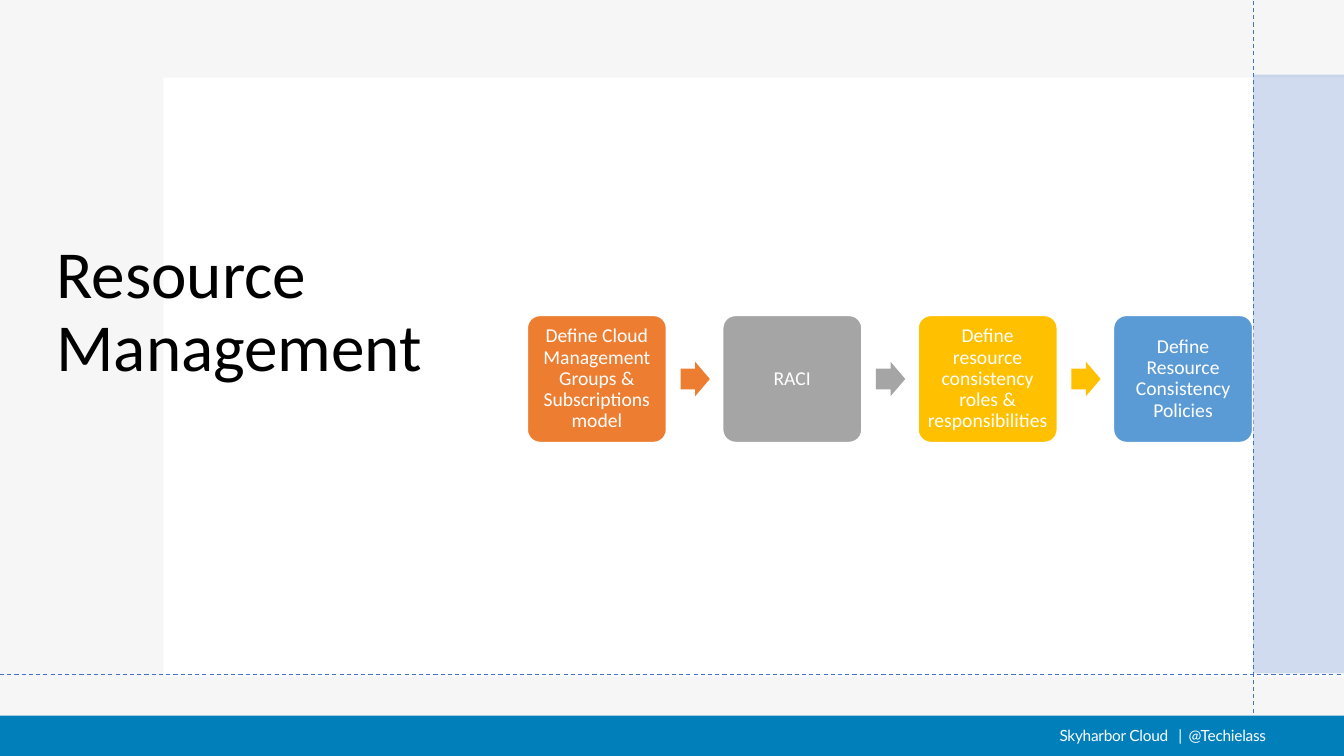
"""Build the Resource Management process slide."""
from lxml.etree import SubElement
from pptx import Presentation
from pptx.dml.color import RGBColor
from pptx.enum.dml import MSO_LINE
from pptx.enum.shapes import MSO_CONNECTOR, MSO_SHAPE as SHAPE
from pptx.enum.text import MSO_ANCHOR as ANCHOR, PP_ALIGN as ALIGN
from pptx.oxml.ns import qn
from pptx.util import Inches, Pt


def color(text):
    return RGBColor.from_string(text)


def add_block(page, kind, bounds, fill, opacity=100):
    block = page.shapes.add_shape(kind, *map(Inches, bounds))
    block.shadow.inherit = False
    block.line.fill.background()
    block.fill.solid()
    block.fill.fore_color.rgb = color(fill)
    if opacity < 100:
        tint = block.fill._xPr.find(".//" + qn("a:srgbClr"))
        SubElement(tint, qn("a:alpha"), val=str(opacity * 1000))
    return block


deck = Presentation()
deck.slide_width, deck.slide_height = Inches(13.33), Inches(7.5)
page = deck.slides.add_slide(deck.slide_layouts[5])

add_block(page, SHAPE.RECTANGLE, (0, 0, 13.33, 7.5), "E7E6E6", 35)
add_block(page, SHAPE.RECTANGLE, (1.62, 0.77, 11.71, 5.94), "FFFFFF")

title = page.shapes.title
page.shapes._spTree.append(title._element)
title.left, title.top, title.width, title.height = map(Inches, (0.46, 0.63, 4.24, 3.25))
title.text_frame.text = "Resource Management"
title.text_frame.vertical_anchor = ANCHOR.BOTTOM
para = title.text_frame.paragraphs[0]
para.alignment = ALIGN.LEFT
para.line_spacing = 0.9
para.font.name, para.font.size = "Calibri", Pt(48)
para.font.color.rgb = color("000000")

add_block(page, SHAPE.RECTANGLE, (12.43, 0.74, 0.9, 5.94), "4472C4", 25)

for ends in [(12.43, 7.5, 12.43, 0), (0, 6.69, 13.33, 6.69)]:
    guide = page.shapes.add_connector(MSO_CONNECTOR.STRAIGHT, *map(Inches, ends))
    guide.line.color.rgb = color("4472C4")
    guide.line.width = Pt(0.75)
    guide.line.dash_style = MSO_LINE.DASH
    SubElement(guide._element.spPr, qn("a:effectLst"))

steps = [
    ("Define Cloud Management Groups & Subscriptions model", "ED7D31"),
    ("RACI", "A5A5A5"),
    ("Define resource consistency roles & responsibilities", "FFC000"),
    ("Define Resource Consistency Policies", "5B9BD5"),
]
for index, (label, fill) in enumerate(steps):
    left = 5.23 + 1.938 * index
    card = add_block(page, SHAPE.ROUNDED_RECTANGLE, (left, 3.13, 1.38, 1.26), fill)
    card.adjustments[0] = 0.1
    card.line.color.rgb = color("FFFFFF")
    card.line.width = Pt(1)
    frame = card.text_frame
    frame.word_wrap = True
    frame.vertical_anchor = ANCHOR.MIDDLE
    frame.margin_left = frame.margin_right = Inches(0.06)
    frame.margin_top = frame.margin_bottom = Inches(0.06)
    frame.text = label
    para = frame.paragraphs[0]
    para.alignment = ALIGN.CENTER
    para.line_spacing = 0.9
    para.font.name, para.font.size = "Calibri", Pt(14)
    para.font.color.rgb = color("FFFFFF")
    if index < len(steps) - 1:
        arrow = add_block(page, SHAPE.RIGHT_ARROW, (left + 1.52, 3.59, 0.29, 0.34), fill)
        arrow.adjustments[0] = 0.6

add_block(page, SHAPE.RECTANGLE, (0, 7.1, 13.33, 0.4), "007FBA")
credit = page.shapes.add_textbox(*map(Inches, (10.41, 7.15, 2.62, 0.47)))
credit.text_frame.word_wrap = True
credit.text_frame.text = "Skyharbor Cloud\t|\t@Techielass"
para = credit.text_frame.paragraphs[0]
tabs = SubElement(para._p.get_or_add_pPr(), qn("a:tabLst"))
for stop in (1.18, 1.28):
    SubElement(tabs, qn("a:tab"), pos=str(Inches(stop)), algn="l")
para.font.name, para.font.size = "Lato", Pt(11)
para.font.color.rgb = color("FFFFFF")
for span in para.runs:
    span.font._element.set("spc", "-20")

deck.save("out.pptx")
